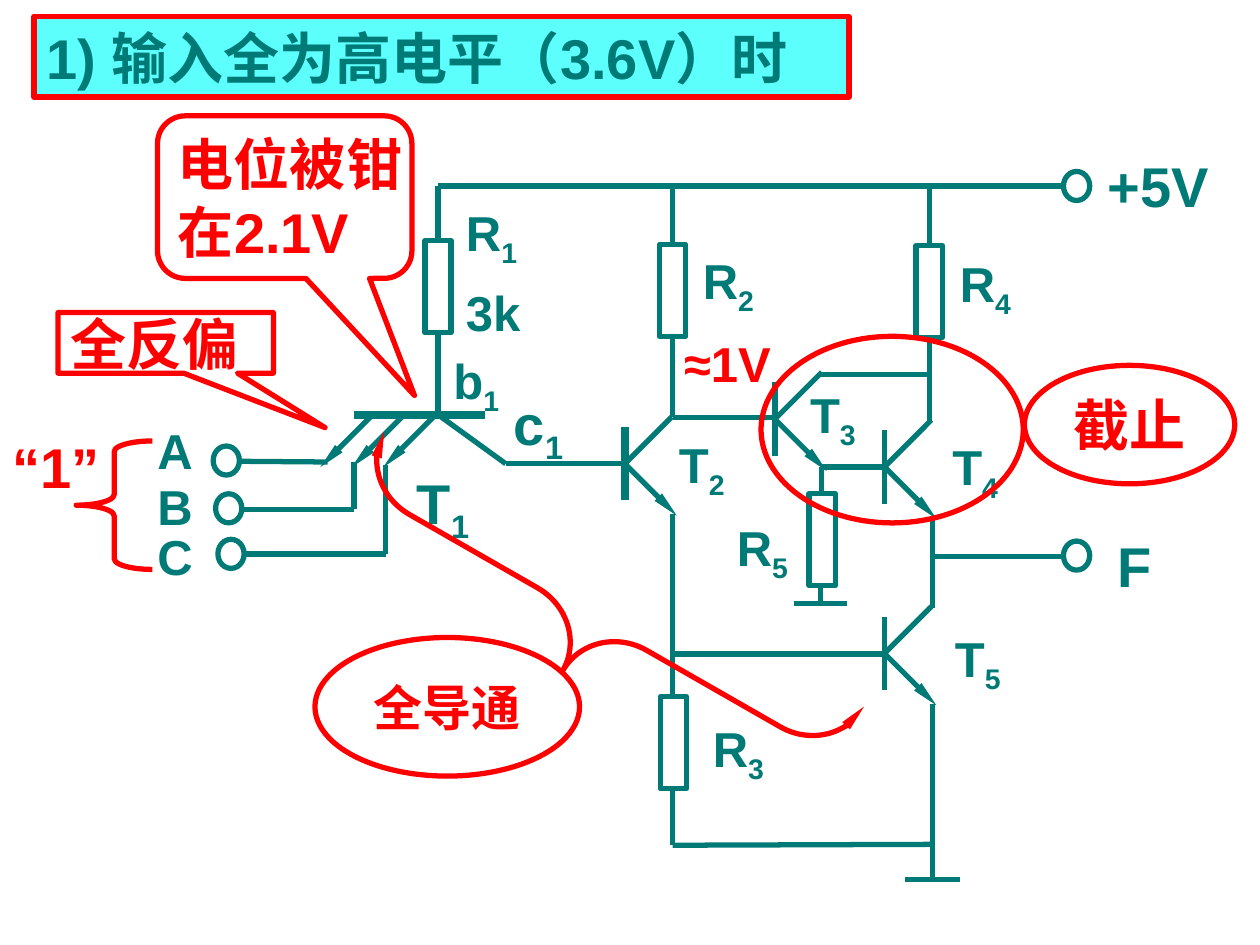
from itertools import pairwise

from pptx import Presentation
from pptx.dml.color import RGBColor
from pptx.enum.shapes import MSO_CONNECTOR, MSO_SHAPE
from pptx.enum.text import MSO_ANCHOR, PP_ALIGN
from pptx.oxml.ns import qn
from pptx.util import Pt
from lxml import etree

TEAL, RED, CYAN = "007A77", "FF0000", "5CFFFC"
RAIL_Y = 106.3
OUTPUT_X = 532.8
PHASE_X = 384.3


def color(hex_string):
    return RGBColor.from_string(hex_string)


def add_arrowheads(element, *ends):
    outline = element.line._get_or_add_ln()
    for end in ends:
        etree.SubElement(outline, qn(f"a:{end}"), type="triangle", w="sm", len="lg")


def wire(slide, *points, width=3, arrow=False):
    """Join the points one after another with straight lines."""
    for start, stop in pairwise(points):
        segment = slide.shapes.add_connector(
            MSO_CONNECTOR.STRAIGHT, *(Pt(v) for v in start + stop))
        segment.line.color.rgb = color(TEAL)
        segment.line.width = Pt(width)
        etree.SubElement(segment._element.spPr, qn("a:effectLst"))
        if arrow:
            add_arrowheads(segment, "tailEnd")


def outline_shape(slide, preset, box, line=RED, fill=None, adjustments=()):
    shape = slide.shapes.add_shape(preset, *(Pt(v) for v in box))
    shape.shadow.inherit = False
    if fill:
        shape.fill.solid()
        shape.fill.fore_color.rgb = color(fill)
    else:
        shape.fill.background()
    shape.line.color.rgb = color(line)
    shape.line.width = Pt(3)
    for index, value in enumerate(adjustments):
        shape.adjustments[index] = value
    return shape


def style(paragraph, size, ink, align=PP_ALIGN.LEFT):
    paragraph.alignment = align
    paragraph.font.name = "Arial"
    paragraph.font.size = Pt(size)
    paragraph.font.bold = True
    paragraph.font.color.rgb = color(ink)


def write_in(shape, lines, size=32, ink=RED, align=PP_ALIGN.LEFT, wrap=False):
    frame = shape.text_frame
    frame.word_wrap = wrap
    frame.vertical_anchor = MSO_ANCHOR.MIDDLE
    frame.text = "\n".join(lines)
    for paragraph in frame.paragraphs:
        style(paragraph, size, ink, align)


def label(slide, left, top, text, subscript="", size=28, ink=TEAL, width=72):
    height = size * 1.15 + 8
    box = slide.shapes.add_textbox(Pt(left), Pt(top), Pt(width), Pt(height))
    box.text_frame.word_wrap = True
    paragraph = box.text_frame.paragraphs[0]
    paragraph.add_run().text = text
    if subscript:
        index = paragraph.add_run()
        index.text = subscript
        index.font._element.set("baseline", "-25000")
    style(paragraph, size, ink)


def resistor(slide, center_x, top):
    outline_shape(slide, MSO_SHAPE.RECTANGLE, (center_x - 7.5, top, 15, 52.6), TEAL)


def terminal(slide, left, center_y):
    outline_shape(slide, MSO_SHAPE.OVAL, (left, center_y - 8.3, 15, 16.6), TEAL)


def transistor(slide, x, y, bar_width=3):
    wire(slide, (x, y - 21), (x, y + 21), width=bar_width)
    wire(slide, (x, y), (x + 29.7, y + 29.7), arrow=True)
    wire(slide, (x, y), (x + 26.8, y - 26.8))


def draw_input_stage(slide):
    wire(slide, (202.3, 237), (277.2, 237), width=4.5)
    for x in (249, 231, 213):
        wire(slide, (x, 237), (x - 30, 267), arrow=True)
    wire(slide, (250.3, 237), (289, 265), (357.1, 265))
    wire(slide, (187.2, 264), (136.8, 263.6))
    wire(slide, (202.3, 264.3), (202.3, 291), (138.2, 291))
    wire(slide, (220.5, 265.7), (220.5, 316.6), (139.7, 316.6))
    for left, y in ((121.8, 263.2), (123.2, 290.5), (124.5, 316.5)):
        terminal(slide, left, y)


def draw_output_stage(slide):
    transistor(slide, 357.1, 265, bar_width=4.5)
    for x, y in ((442.8, 239.5), (505.4, 266.8), (505.4, 373.4)):
        transistor(slide, x, y)
    for x, top in ((250.3, 137.5), (PHASE_X, 139.7), (531, 140.4),
                   (PHASE_X + 0.5, 398.2), (469.8, 282.2)):
        resistor(slide, x, top)

    wire(slide, (250.3, RAIL_Y), (608.4, RAIL_Y))
    wire(slide, (250.3, 237), (250.3, 190.4))
    wire(slide, (250.3, 137.5), (250.3, RAIL_Y))
    wire(slide, (PHASE_X, 139.7), (PHASE_X, RAIL_Y))
    wire(slide, (442.8, 238.5), (PHASE_X, 238.5), (PHASE_X, 192.3))
    wire(slide, (531, 140.4), (531, RAIL_Y))
    wire(slide, (531, 193), (531, 242))
    wire(slide, (468, 213.8), (531, 213.8))
    wire(slide, (469.5, 266.8), (505.4, 266.8))
    wire(slide, (469.5, 266.8), (469.5, 282.2))
    wire(slide, (469, 334.8), (469, 345))
    wire(slide, (453.6, 345), (483.8, 345))
    wire(slide, (PHASE_X, 294), (PHASE_X, 398.2))
    wire(slide, (PHASE_X, 373.7), (505.4, 373.7))
    wire(slide, (PHASE_X, 450.8), (PHASE_X, 483), (OUTPUT_X, 482.5))
    wire(slide, (OUTPUT_X, 296), (OUTPUT_X, 347.5))
    wire(slide, (OUTPUT_X, 402.5), (OUTPUT_X, 502.6))
    wire(slide, (517, 502.6), (548.6, 502.6))
    wire(slide, (OUTPUT_X, 318.2), (607.7, 318.2))
    for y in (RAIL_Y, 317.5):
        terminal(slide, 607.7, y)


def draw_labels(slide):
    for left, top, text, subscript in (
            (541.4, 141.1, "R", "4"), (394.6, 139.7, "R", "2"),
            (259.2, 112.3, "R", "1"), (259.2, 157.7, "3k", ""),
            (380.9, 244.8, "T", "2"), (414, 292.3, "R", "5"),
            (400.3, 406.8, "R", "3"), (455.8, 216, "T", "3"),
            (537.1, 246.2, "T", "4"), (538.6, 355.7, "T", "5"),
            (252, 196.6, "b", "1"), (82.8, 236.9, "A", ""),
            (82.8, 268.6, "B", ""), (82.8, 297.4, "C", "")):
        label(slide, left, top, text, subscript)
    for left, top, text, subscript in (
            (625.7, 82.8, "+5V", ""), (631.4, 300.2, "F", ""),
            (231.1, 264.2, "T", "1"), (286.6, 218.9, "c", "1")):
        label(slide, left, top, text, subscript, size=32, width=94)
    label(slide, 0, 243.4, "“1”", size=32, ink=RED)
    label(slide, 383.8, 187.2, "≈1V", ink=RED, width=79)


def draw_annotations(slide):
    title = outline_shape(slide, MSO_SHAPE.RECTANGLE, (19.4, 9.4, 465.8, 46), fill=CYAN)
    write_in(title, ["1) 输入全为高电平（3.6V）时"], ink=TEAL, wrap=True)

    outline_shape(slide, MSO_SHAPE.LEFT_BRACE, (43.5, 252, 43.5, 73.4),
                  adjustments=(0.14, 0.5))
    conducting_link = outline_shape(slide, MSO_SHAPE.LEFT_BRACE, (306, 196.6, 67.7, 316),
                                    adjustments=(0.53, 0.495))
    conducting_link.rotation = 299.8
    add_arrowheads(conducting_link, "headEnd", "tailEnd")

    conducting = outline_shape(slide, MSO_SHAPE.OVAL, (180, 364.3, 151.2, 79.2))
    write_in(conducting, ["全导通"], size=28, align=PP_ALIGN.CENTER)

    clamped = outline_shape(slide, MSO_SHAPE.ROUNDED_RECTANGULAR_CALLOUT,
                            (90, 66.2, 145.4, 92.9), adjustments=(0.51, 1.22, 0.17))
    write_in(clamped, ["电位被钳", "在2.1V"])

    reverse_biased = outline_shape(slide, MSO_SHAPE.RECTANGULAR_CALLOUT,
                                   (33.1, 178.6, 123.1, 34.6), adjustments=(0.74, 1.4))
    write_in(reverse_biased, ["全反偏"])

    outline_shape(slide, MSO_SHAPE.OVAL, (434.9, 192.2, 149.8, 106.6))
    cut_off = outline_shape(slide, MSO_SHAPE.OVAL, (585.4, 208.8, 120.2, 67.7))
    write_in(cut_off, ["截止"], align=PP_ALIGN.CENTER)


def main():
    presentation = Presentation()
    presentation.slide_width, presentation.slide_height = Pt(720), Pt(540)
    slide = presentation.slides.add_slide(presentation.slide_layouts[6])
    draw_input_stage(slide)
    draw_output_stage(slide)
    draw_labels(slide)
    draw_annotations(slide)
    presentation.save("out.pptx")


if __name__ == "__main__":
    main()
